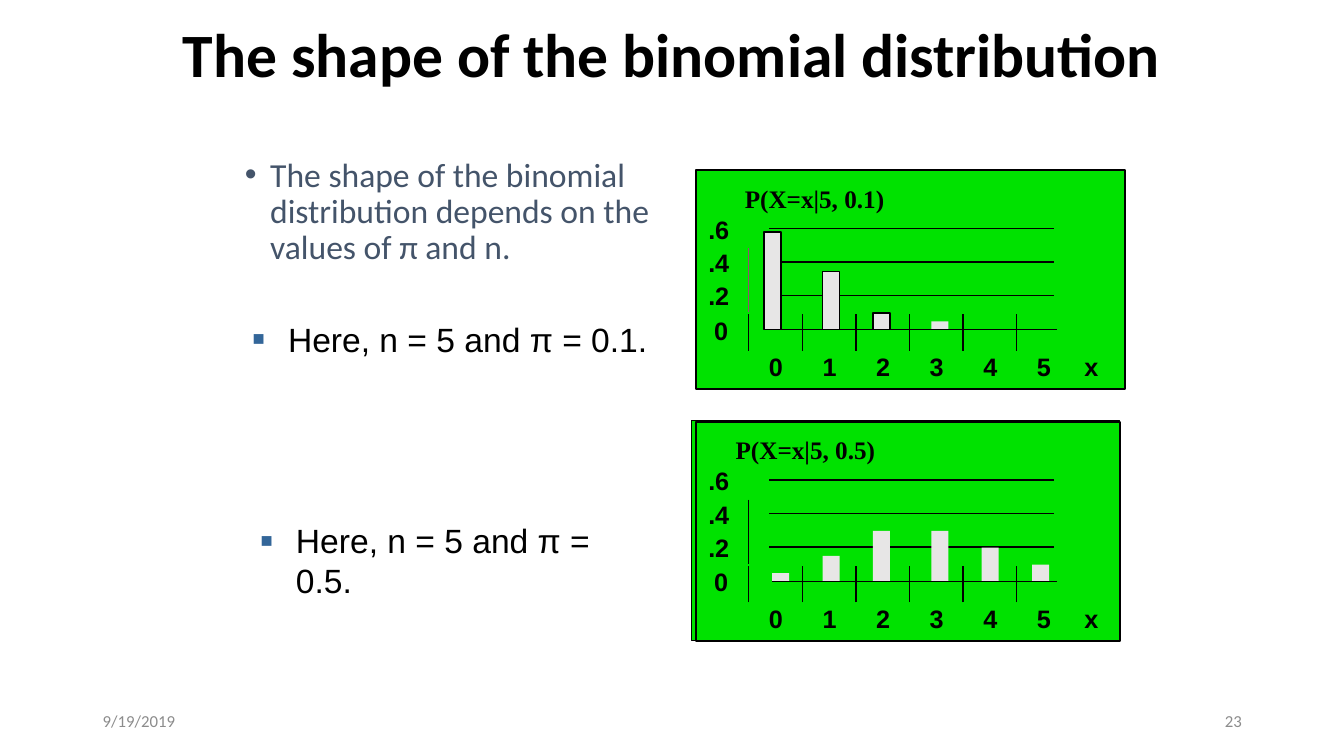
from dataclasses import dataclass
from typing import Optional

from lxml.etree import SubElement
from pptx import Presentation
from pptx.dml.color import RGBColor
from pptx.enum.shapes import MSO_CONNECTOR, MSO_SHAPE
from pptx.enum.text import MSO_ANCHOR, MSO_AUTO_SIZE, PP_ALIGN
from pptx.oxml.ns import qn
from pptx.slide import Slide
from pptx.text.text import TextFrame
from pptx.util import Cm, Pt


@dataclass(frozen=True)
class Theme:
    black: str = "000000"
    panel: str = "00E200"
    bar: str = "E7E6E6"
    axis: str = "954F72"
    body: str = "44546A"
    marker: str = "336699"
    footer: str = "8C8C8C"
    sans: str = "Arial"
    serif: str = "Times New Roman"
    text: str = "Calibri"
    title_size: float = 44
    body_size: float = 24
    label_size: float = 18
    footer_size: float = 12
    thin: float = 0.75
    rule: float = 1
    border: float = 1.5


THEME = Theme()


@dataclass(frozen=True)
class Box:
    left: float
    top: float
    width: float
    height: float


@dataclass(frozen=True)
class Style:
    font: str
    size: float
    color: str
    bold: bool = False


@dataclass(frozen=True)
class Bar:
    left: float
    height: float
    outlined: bool = False


@dataclass(frozen=True)
class Panel:
    heading: str
    heading_left: float
    base: float
    back: Box
    frame: Box
    axis_color: str
    bars: tuple[Bar, ...]


@dataclass(frozen=True)
class Bullet:
    text: str
    box: Box
    style: Style
    indent: float
    space_before: float
    char: str
    line_spacing: float = 1.0
    color: Optional[str] = None
    percent: int = 100


@dataclass(frozen=True)
class Footer:
    text: str
    box: Box
    align: PP_ALIGN


LABEL = Style(THEME.sans, THEME.label_size, THEME.black, True)
HEADING = Style(THEME.serif, THEME.label_size, THEME.black, True)
TITLE = Style(THEME.text, THEME.title_size, THEME.black, True)
BODY = Style(THEME.text, THEME.body_size, THEME.body)
CASE = Style(THEME.sans, THEME.body_size, THEME.black)
FOOTER = Style(THEME.text, THEME.footer_size, THEME.footer)

BAR_WIDTH = 0.43
GRID_STEP = 0.84
TICK_STEP = 1.35
LABEL_HEIGHT = 1.02
DIGIT_WIDTH = 0.86

PANELS = (
    Panel("P(X=x|5, 0.1)", 18.52, 8.31, Box(17.55, 4.27, 10.8, 5.54),
          Box(17.55, 4.29, 10.8, 5.51), THEME.axis,
          (Bar(19.25, 2.46, True), Bar(20.73, 1.47, True),
           Bar(22, 0.42, True), Bar(23.47, 0.21))),
    Panel("P(X=x|5, 0.5)", 18.29, 14.65, Box(17.42, 10.59, 10.8, 5.54),
          Box(17.55, 10.64, 10.67, 5.51), THEME.black,
          (Bar(19.46, 0.21), Bar(20.73, 0.64), Bar(22, 1.27),
           Bar(23.47, 1.27), Bar(24.74, 0.85), Bar(26.01, 0.42))),
)

BULLETS = (
    Bullet("The shape of the binomial distribution depends on the values of π and n.",
           Box(5.92, 3.86, 10.8, 3.18), BODY, 0.64, 10, "•", 0.9),
    Bullet("Here, n = 5 and π = 0.1.", Box(6.12, 7.9, 11, 1.7), CASE,
           0.89, 4.8, "■", color=THEME.marker, percent=60),
    Bullet("Here, n = 5 and π = 0.5.", Box(6.32, 12.98, 10.44, 1.7), CASE,
           0.89, 4.8, "■", color=THEME.marker, percent=60),
)

FOOTERS = (
    Footer("9/19/2019", Box(2.34, 17.65, 7.62, 1.02), PP_ALIGN.LEFT),
    Footer("23", Box(23.93, 17.65, 7.62, 1.02), PP_ALIGN.RIGHT),
)


def place(box: Box) -> tuple[Cm, Cm, Cm, Cm]:
    return Cm(box.left), Cm(box.top), Cm(box.width), Cm(box.height)


def write(tf: TextFrame, text: str, style: Style):
    p = tf.paragraphs[0]
    r = p.add_run()
    r.text = text
    r.font.name = style.font
    r.font.size = Pt(style.size)
    r.font.bold = style.bold
    r.font.color.rgb = RGBColor.from_string(style.color)
    return p


def add_rect(s: Slide, box: Box, fill: Optional[str], line: Optional[float]) -> None:
    sp = s.shapes.add_shape(MSO_SHAPE.RECTANGLE, *place(box))
    sp.shadow.inherit = False
    if fill:
        sp.fill.solid()
        sp.fill.fore_color.rgb = RGBColor.from_string(fill)
    else:
        sp.fill.background()
    if line:
        sp.line.color.rgb = RGBColor.from_string(THEME.black)
        sp.line.width = Pt(line)
    else:
        sp.line.fill.background()


def add_line(s: Slide, x1: float, y1: float, x2: float, y2: float,
             color: str = THEME.black) -> None:
    line = s.shapes.add_connector(MSO_CONNECTOR.STRAIGHT, Cm(x1), Cm(y1), Cm(x2), Cm(y2))
    line.line.color.rgb = RGBColor.from_string(color)
    line.line.width = Pt(THEME.rule)
    SubElement(line._element.spPr, qn("a:effectLst"))


def add_label(s: Slide, text: str, left: float, top: float,
              width: float = DIGIT_WIDTH, style: Style = LABEL) -> None:
    tf = s.shapes.add_textbox(*place(Box(left, top, width, LABEL_HEIGHT))).text_frame
    tf.word_wrap = False
    tf.auto_size = MSO_AUTO_SIZE.SHAPE_TO_FIT_TEXT
    write(tf, text, style)


def add_panel(s: Slide, panel: Panel) -> None:
    base = panel.base
    add_rect(s, panel.back, THEME.panel, THEME.thin)
    add_rect(s, panel.frame, None, THEME.border)
    for i, text in enumerate((".2", ".4", ".6")):
        y = base - 0.87 - i * GRID_STEP
        add_line(s, 19.38, y, 26.57, y)
        add_label(s, text, 17.6, y - 0.49, 1.04)
    add_label(s, "0", 17.75, base - 0.5)
    for bar in panel.bars:
        add_rect(s, Box(bar.left, base - bar.height, BAR_WIDTH, bar.height),
                 THEME.bar, THEME.rule if bar.outlined else None)
    add_line(s, 18.87, base - 2.06, 18.87, base - 0.45, panel.axis_color)
    add_line(s, 19.46, base, 26.64, base)
    for i in range(6):
        x = 18.87 + i * TICK_STEP
        add_line(s, x, base + 0.53, x, base - 0.39)
        add_label(s, str(i), x + 0.26, base + 0.42)
    add_label(s, "x", 27.08, base + 0.42)
    add_label(s, panel.heading, panel.heading_left, base - 3.82, 4.06, HEADING)


def add_bullet(s: Slide, bullet: Bullet) -> None:
    tf = s.shapes.add_textbox(*place(bullet.box)).text_frame
    tf.word_wrap = True
    p = write(tf, bullet.text, bullet.style)
    p.line_spacing = bullet.line_spacing
    p.space_before = Pt(bullet.space_before)
    pPr = p._p.get_or_add_pPr()
    pPr.set("marL", str(Cm(bullet.indent)))
    pPr.set("indent", str(-Cm(bullet.indent)))
    if bullet.color:
        SubElement(SubElement(pPr, qn("a:buClr")), qn("a:srgbClr"), val=bullet.color)
    SubElement(pPr, qn("a:buSzPct"), val=str(bullet.percent * 1000))
    SubElement(pPr, qn("a:buFont"), typeface=THEME.sans)
    SubElement(pPr, qn("a:buChar"), char=bullet.char)


def add_footer(s: Slide, footer: Footer) -> None:
    tf = s.shapes.add_textbox(*place(footer.box)).text_frame
    tf.word_wrap = True
    tf.vertical_anchor = MSO_ANCHOR.MIDDLE
    write(tf, footer.text, FOOTER).alignment = footer.align


def add_title(s: Slide, text: str) -> None:
    sp = s.shapes.title
    sp.left, sp.top, sp.width, sp.height = place(Box(2.34, 0.3, 29.21, 2.31))
    sp.text_frame.vertical_anchor = MSO_ANCHOR.MIDDLE
    p = write(sp.text_frame, text, TITLE)
    p.alignment = PP_ALIGN.CENTER
    p.line_spacing = 0.9


def main() -> None:
    prs = Presentation()
    prs.slide_width, prs.slide_height = Cm(33.87), Cm(19.05)
    s = prs.slides.add_slide(prs.slide_layouts[5])
    add_title(s, "The shape of the binomial distribution")
    for footer in FOOTERS:
        add_footer(s, footer)
    for panel in PANELS:
        add_panel(s, panel)
    for bullet in BULLETS:
        add_bullet(s, bullet)
    prs.save("out.pptx")


if __name__ == "__main__":
    main()
